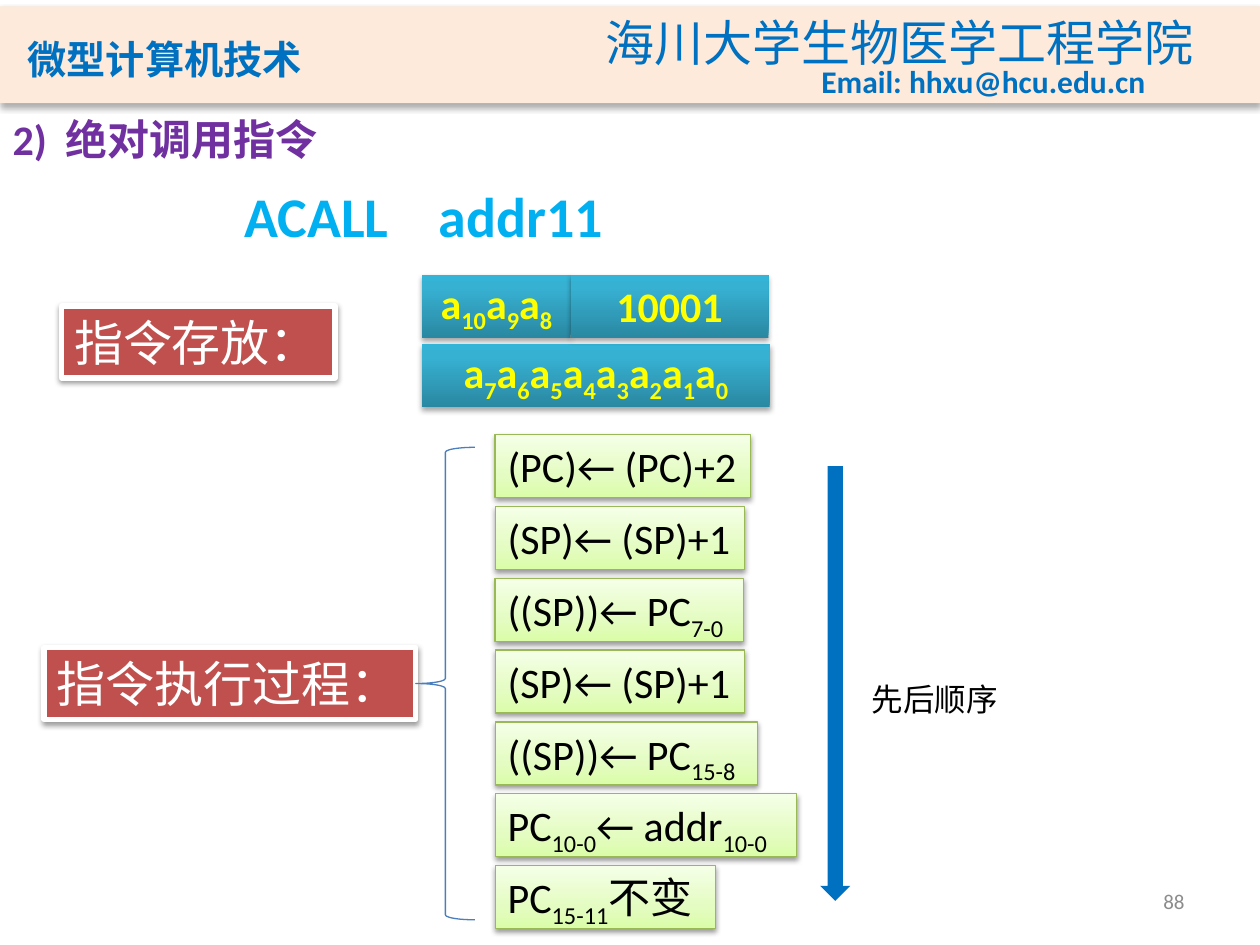
from dataclasses import dataclass

from lxml.etree import SubElement
from pptx import Presentation
from pptx.dml.color import RGBColor
from pptx.enum.shapes import MSO_SHAPE
from pptx.enum.text import MSO_ANCHOR, MSO_AUTO_SIZE, PP_ALIGN
from pptx.oxml.ns import qn
from pptx.util import Inches, Pt

LATIN, CJK = "Calibri", "Noto Sans CJK SC"
BLUE, BLACK, WHITE = "0070C0", "000000", "FFFFFF"
GREEN_STOPS = ((0, "DAFDA7"), (35, "E4FCC2"), (100, "F5FFE7"))
TEAL_STOPS = ((0, "2A88A2"), (80, "37B1D2"), (100, "34B4D6"))


@dataclass(frozen=True)
class Box:
    left: float
    top: float
    width: float
    height: float

    def lengths(self):
        return [Inches(v) for v in (self.left, self.top, self.width, self.height)]


@dataclass(frozen=True)
class TextStyle:
    size: float
    color: str
    bold: bool = False
    latin: str = LATIN
    cjk: str = CJK
    align: PP_ALIGN = PP_ALIGN.LEFT
    anchor: MSO_ANCHOR = MSO_ANCHOR.TOP
    wrap: bool = False
    small_caps: bool = False


@dataclass(frozen=True)
class Shadow:
    alpha: int
    blur: float
    distance: float


@dataclass(frozen=True)
class Step:
    text: str
    width: float


STEP_STYLE = TextStyle(24, BLACK)
LABEL_STYLE = TextStyle(28, WHITE)
CODE_STYLE = TextStyle(24, "FFFF00", True, align=PP_ALIGN.CENTER,
                       anchor=MSO_ANCHOR.MIDDLE)
SOFT_SHADOW = Shadow(38, 3.1, 1.6)

STEPS = (
    Step("(PC)← (PC)+2", 2.03),
    Step("(SP)← (SP)+1", 1.98),
    Step("((SP))← PC_7-0", 1.97),
    Step("(SP)← (SP)+1", 1.98),
    Step("((SP))← PC_15-8", 2.08),
    Step("PC_10-0_← addr_10-0", 2.39),
    Step("PC_15-11_不变", 1.75),
)
CODE_CELLS = (
    (Box(3.35, 2.18, 1.18, 0.5), "a_10_a_9_a_8"),
    (Box(3.35, 2.73, 2.76, 0.5), "_".join(f"a_{bit}" for bit in range(7, -1, -1))),
    (Box(4.53, 2.18, 1.57, 0.5), "10001"),
)
LABELS = (
    (Box(0.49, 2.43, 2.17, 0.57), "指令存放："),
    (Box(0.35, 5.14, 2.95, 0.57), "指令执行过程："),
)
PLAIN_TEXTS = (
    (Box(0.12, 0.16, 3.39, 0.56), "微型计算机技术",
     TextStyle(28, BLUE, True, cjk="Noto Sans CJK JP", latin="Noto Sans CJK JP",
               anchor=MSO_ANCHOR.BOTTOM, small_caps=True)),
    (Box(4.71, 0.05, 4.91, 0.57), "海川大学生物医学工程学院",
     TextStyle(28, BLUE, latin=CJK)),
    (Box(6.42, 0.44, 2.75, 0.4), "Email: hhxu@hcu.edu.cn", TextStyle(18, BLUE, True)),
    (Box(1.84, 1.39, 3.08, 0.64), "ACALL    addr11", TextStyle(32, "00B0F0", True)),
    (Box(6.82, 5.35, 1.21, 0.4), "先后顺序", TextStyle(18, BLACK)),
    (Box(7.17, 6.95, 2.33, 0.4), "88",
     TextStyle(12, "8C8C8C", align=PP_ALIGN.RIGHT, anchor=MSO_ANCHOR.MIDDLE)),
)


def rgb(hex_color: str) -> RGBColor:
    return RGBColor.from_string(hex_color)


def write(shape, text: str, style: TextStyle) -> None:
    """Write text whose every second part between underscores is a subscript."""
    frame = shape.text_frame
    frame.auto_size = MSO_AUTO_SIZE.NONE
    frame.word_wrap = style.wrap
    frame.vertical_anchor = style.anchor
    paragraph = frame.paragraphs[0]
    paragraph.alignment = style.align
    font = paragraph.font
    font.size, font.bold, font.name = Pt(style.size), style.bold, style.latin
    font.color.rgb = rgb(style.color)
    properties = paragraph._p.find(".//" + qn("a:defRPr"))
    SubElement(properties, qn("a:ea")).set("typeface", style.cjk)
    if style.small_caps:
        properties.set("cap", "small")
    for index, part in enumerate(text.split("_")):
        run = paragraph.add_run()
        run.text = part
        if index % 2:
            run._r.get_or_add_rPr().set("baseline", "-25000")


def add_plain_shape(slide, kind: MSO_SHAPE, box: Box, fill: str | None = None,
                    line: str | None = None, line_width: float = 0.75):
    shape = slide.shapes.add_shape(kind, *box.lengths())
    shape.shadow.inherit = False
    if fill:
        shape.fill.solid()
        shape.fill.fore_color.rgb = rgb(fill)
    else:
        shape.fill.background()
    if line:
        shape.line.color.rgb = rgb(line)
        shape.line.width = Pt(line_width)
    else:
        shape.line.fill.background()
    return shape


def set_gradient(shape, stops: tuple) -> None:
    shape.fill.gradient()
    shape.fill.gradient_angle = 90
    stop_list = shape._element.spPr.find(".//" + qn("a:gsLst"))
    stop_list.clear()
    for position, color in stops:
        stop = SubElement(stop_list, qn("a:gs"), pos=str(position * 1000))
        SubElement(stop, qn("a:srgbClr"), val=color)


def cast_shadow(shape, shadow: Shadow) -> None:
    effects = shape._element.spPr.find(qn("a:effectLst"))
    outer = SubElement(effects, qn("a:outerShdw"), blurRad=str(Pt(shadow.blur)),
                       dist=str(Pt(shadow.distance)), dir="5400000", rotWithShape="0")
    color = SubElement(outer, qn("a:srgbClr"), val=BLACK)
    SubElement(color, qn("a:alpha"), val=str(shadow.alpha * 1000))


def add_gradient_box(slide, box: Box, text: str, style: TextStyle, stops: tuple,
                     shadow: Shadow, line: str | None = None) -> None:
    shape = add_plain_shape(slide, MSO_SHAPE.RECTANGLE, box, line=line)
    set_gradient(shape, stops)
    cast_shadow(shape, shadow)
    write(shape, text, style)


def main() -> None:
    deck = Presentation()
    deck.slide_width, deck.slide_height = Inches(10), Inches(7.5)
    slide = deck.slides.add_slide(deck.slide_layouts[5])

    heading = slide.shapes.title
    heading.left, heading.top, heading.width, heading.height = Box(
        0, 0.85, 2.66, 0.5).lengths()
    write(heading, "2)  绝对调用指令", TextStyle(24, "7030A0", True, wrap=True))

    banner = add_plain_shape(slide, MSO_SHAPE.RECTANGLE, Box(0, 0.05, 10, 0.77), "FDEADA")
    cast_shadow(banner, Shadow(32, 3.5, 2.2))
    for box, text, style in PLAIN_TEXTS:
        write(slide.shapes.add_textbox(*box.lengths()), text, style)

    for row, step in enumerate(STEPS):
        add_gradient_box(slide, Box(3.93, 3.45 + row * 0.57, step.width, 0.5), step.text,
                         STEP_STYLE, GREEN_STOPS, SOFT_SHADOW, "98B955")
    for box, text in CODE_CELLS:
        add_gradient_box(slide, box, text, CODE_STYLE, TEAL_STOPS, Shadow(35, 3.1, 1.8))
    for box, text in LABELS:
        label = add_plain_shape(slide, MSO_SHAPE.RECTANGLE, box, "C0504D", WHITE, 3)
        cast_shadow(label, SOFT_SHADOW)
        write(label, text, LABEL_STYLE)

    add_plain_shape(slide, MSO_SHAPE.LEFT_BRACE, Box(3.3, 3.55, 0.47, 3.75), line="4B7EBC")
    add_plain_shape(slide, MSO_SHAPE.DOWN_ARROW, Box(6.51, 3.7, 0.24, 3.45), BLUE)

    deck.save("out.pptx")


if __name__ == "__main__":
    main()
